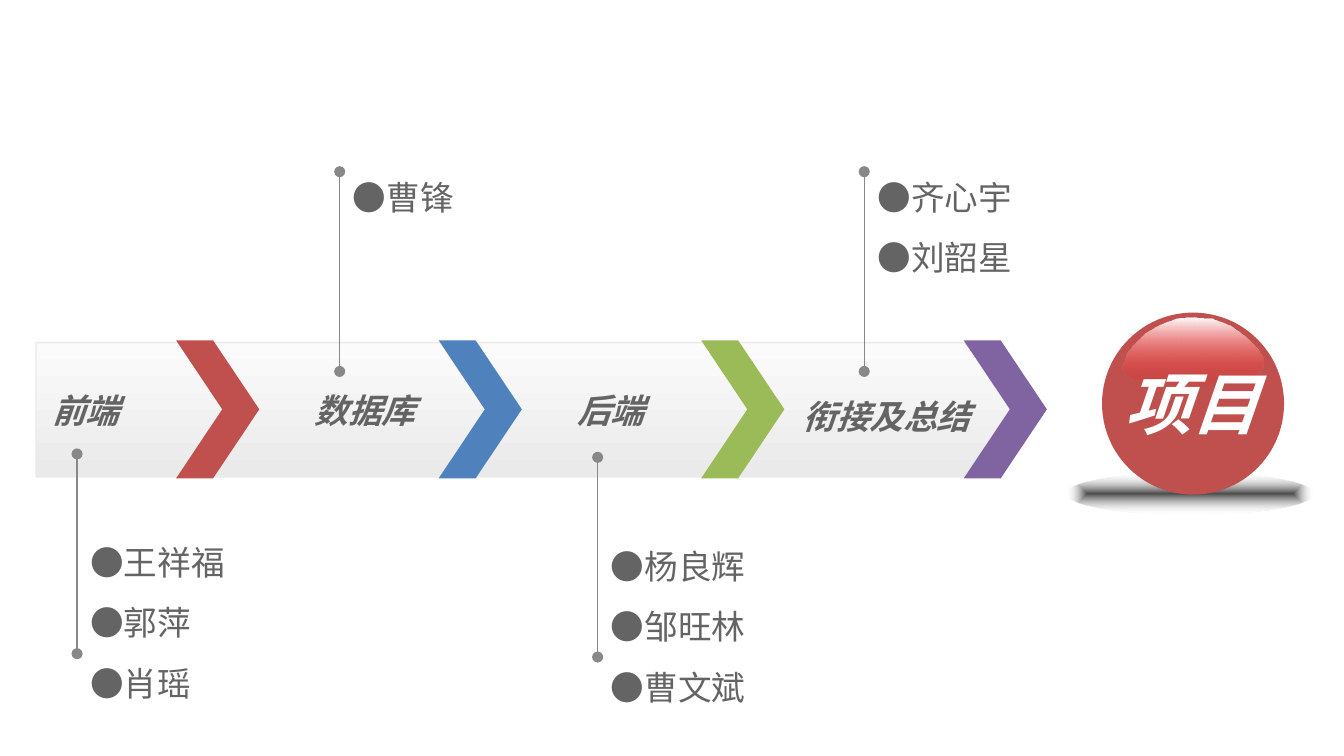
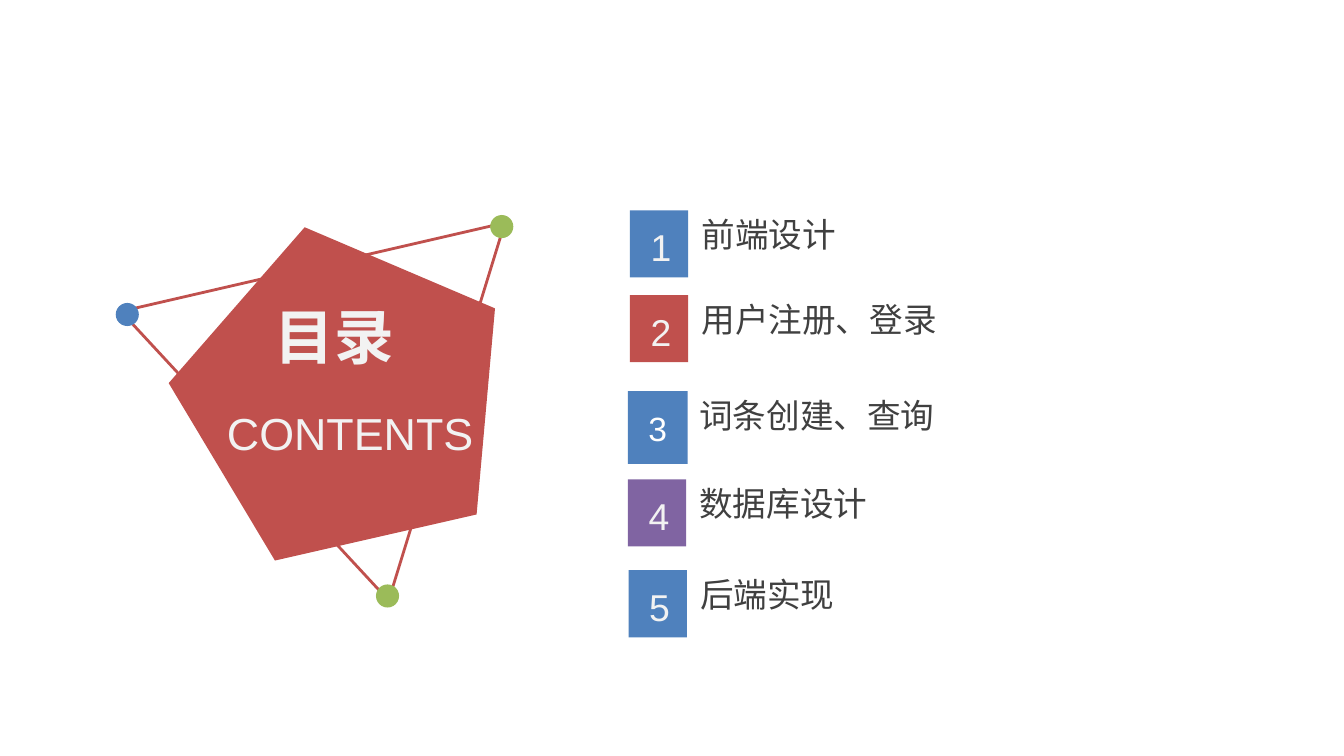
from lxml.etree import SubElement
from pptx import Presentation
from pptx.dml.color import RGBColor
from pptx.enum.shapes import MSO_CONNECTOR, MSO_SHAPE
from pptx.enum.text import MSO_ANCHOR, MSO_AUTO_SIZE, PP_ALIGN
from pptx.oxml import parse_xml
from pptx.oxml.ns import nsdecls, qn
from pptx.util import Pt

FONT = "Arial"
COLORS = {
    "red": "C0504D", "blue": "4F81BD", "green": "9BBB59", "purple": "8064A2",
    "white": "FFFFFF", "pale": "F2F2F2", "band": "EAEAEA", "black": "000000",
    "grey": "646464", "rule": "888888", "ink": "404040", "band_top": "FBFBFB",
    "glow": "FF0000",
}

# Slide 1: stages along the arrow, each with its people
STAGE_X, STAGE_STEP, CHEVRON_X = 20.9, 140.65, 94.3
STAGES = [
    {"name": "前端", "color": "red", "label": (0, 205.2, 51), "rule": (41.3, 243.2),
     "people": ["王祥福", "郭萍", "肖瑶"], "people_box": (275.8, 105), "bold_dot": True},
    {"name": "数据库", "color": "blue", "label": (0, 205.2, 69), "rule": (182, 92),
     "people": ["曹锋"], "people_box": (80.6, 36), "bold_dot": True},
    {"name": "后端", "color": "green", "label": (0, 205.2, 51), "rule": (320.2, 245),
     "people": ["杨良辉", "邹旺林", "曹文斌"], "people_box": (277.9, 105), "bold_dot": False},
    {"name": "衔接及总结", "color": "purple", "label": (-20, 208.3, 105), "rule": (463, 92),
     "people": ["齐心宇", "刘韶星"], "people_box": (80.4, 68.4), "bold_dot": False},
]
RULE_LENGTH = 107
GOAL = "项目"
HIGHLIGHT = [
    (675.4, 190.1), (676.8, 192.2), (676.8, 194.4), (675.4, 198), (672, 200.9),
    (666.7, 203), (660.2, 204.9), (652.3, 205.9), (646.6, 206.6), (628.6, 206.6),
    (621.4, 205.9), (612, 204.5), (605.5, 202.3), (602.6, 200.2), (601.2, 196.6),
    (602.6, 193), (604.1, 188.6), (607, 185), (609.8, 182.2), (613.4, 178.6),
    (620.6, 174.2), (630, 170.6), (639.4, 169.9), (649.4, 170.6), (658.8, 174.2),
    (666.7, 180), (673.2, 186.5),
]

# Slide 2: text, square colour, square left and top
CONTENTS = [
    ("前端设计", "blue", 337.5, 112.7),
    ("用户注册、登录", "red", 337.5, 158.1),
    ("词条创建、查询", "blue", 336.4, 209.6),
    ("数据库设计", "purple", 336.4, 256.8),
    ("后端实现", "blue", 336.8, 305.5),
]
SQUARE_W, SQUARE_H = 31.2, 36
FRAMED = 3  # this item carries its number inside a larger square
TITLES = [("CONTENTS", (110.9, 213.8, 153.4, 36), {"size": Pt(24)}),
          ("目录", (110.9, 157, 136.8, 46), {"size": Pt(32), "bold": True})]
DOTS = [("green", 201.4, 313.1), ("green", 262.6, 115.2), ("blue", 62, 162.3)]
DOT = 12.4


def rgb(name):
    return RGBColor.from_string(COLORS[name])


def gradient(sp, stops, direction):
    """Fill with (position, colour, alpha) stops, percentages throughout."""
    gs = "".join(
        f'<a:gs pos="{pos * 1000}"><a:srgbClr val="{COLORS[color]}">'
        f'<a:alpha val="{alpha * 1000}"/></a:srgbClr></a:gs>'
        for pos, color, alpha in stops)
    sp.fill.background()
    spPr = sp.element.spPr
    spPr.replace(spPr.find(qn("a:noFill")), parse_xml(
        f'<a:gradFill {nsdecls("a")} rotWithShape="1"><a:gsLst>{gs}</a:gsLst>'
        f'{direction}</a:gradFill>'))


DOWN = '<a:lin ang="5400000" scaled="0"/>'
INWARD = ('<a:path path="shape"><a:fillToRect l="50000" t="50000" '
          'r="50000" b="50000"/></a:path>')


def add_shape(s, kind, box, fill=None, line=None, width=0.75, adj=None, rotation=0):
    sp = s.shapes.add_shape(kind, *map(Pt, box))
    sp.shadow.inherit = False
    sp.rotation = rotation
    if adj is not None:
        sp.adjustments[0] = adj
    if fill:
        sp.fill.solid()
        sp.fill.fore_color.rgb = rgb(fill)
    if line:
        sp.line.color.rgb = rgb(line)
        sp.line.width = Pt(width)
    else:
        sp.line.fill.background()
    return sp


def add_run(p, text, color, **fmt):
    r = p.add_run()
    r.text = text
    for key, value in {"name": FONT, "size": Pt(18), **fmt}.items():
        setattr(r.font, key, value)
    r.font.color.rgb = rgb(color)


def add_box(s, box, wrap=True):
    tf = s.shapes.add_textbox(*map(Pt, box)).text_frame
    tf.word_wrap = wrap
    tf.auto_size = MSO_AUTO_SIZE.SHAPE_TO_FIT_TEXT
    return tf


def add_label(s, box, text, color, wrap=True, align=None, **fmt):
    p = add_box(s, box, wrap).paragraphs[0]
    p.alignment = align
    add_run(p, text, color, **fmt)


def add_dotted_rule(s, x, y):
    c = s.shapes.add_connector(MSO_CONNECTOR.STRAIGHT, Pt(x), Pt(y), Pt(x), Pt(y + RULE_LENGTH))
    c.line.color.rgb = rgb("rule")
    c.line.width = Pt(0.75)
    ln = c.get_or_add_ln()
    for end in ("a:headEnd", "a:tailEnd"):
        SubElement(ln, qn(end), type="oval")
    SubElement(c.element.spPr, qn("a:effectLst"))


def add_people(s, stage):
    top, height = stage["people_box"]
    tf = add_box(s, (stage["rule"][0], top, 152, height))
    for i, person in enumerate(stage["people"]):
        p = tf.add_paragraph() if i else tf.paragraphs[0]
        p.line_spacing = 1.5
        if stage["bold_dot"]:
            add_run(p, "●", "grey", bold=True)
            add_run(p, person, "grey", bold=False)
        else:
            add_run(p, "●" + person, "grey")


def add_goal_ball(s):
    ground = add_shape(s, MSO_SHAPE.OVAL, (571.7, 253.4, 131.8, 22.3))
    gradient(ground, [(0, "black", 70), (100, "white", 0)], INWARD)
    add_shape(s, MSO_SHAPE.OVAL, (590.4, 167.5, 97.5, 97.5), "red")
    points = [(Pt(x), Pt(y)) for x, y in HIGHLIGHT]
    fb = s.shapes.build_freeform(*points[0])
    fb.add_line_segments(points[1:], close=True)
    shine = fb.convert_to_shape()
    shine.shadow.inherit = False
    shine.line.fill.background()
    gradient(shine, [(0, "white", 100), (100, "glow", 0)], DOWN)
    add_label(s, (595.4, 190.8, 87, 51), GOAL, "white", wrap=False,
              size=Pt(36), bold=True, italic=True)


def build_team(s):
    add_goal_ball(s)
    band = add_shape(s, MSO_SHAPE.PENTAGON, (19.3, 183.6, 526.3, 72), line="band", adj=0.4)
    gradient(band, [(0, "band_top", 100), (100, "band", 100)], DOWN)
    for i, stage in enumerate(STAGES):
        add_shape(s, MSO_SHAPE.CHEVRON, (CHEVRON_X + i * STAGE_STEP, 182.3, 44.6, 74),
                  stage["color"], adj=0.555)
    for i, stage in enumerate(STAGES):
        shift, top, width = stage["label"]
        add_label(s, (STAGE_X + i * STAGE_STEP + shift, top, width, 29), stage["name"], "grey",
                  wrap=False, bold=True, italic=True)
        add_dotted_rule(s, *stage["rule"])
        add_people(s, stage)


def add_content_item(s, number, text, color, left, top):
    add_label(s, (left + SQUARE_W, top - 1.4, 150, 29), text, "ink")
    if number == FRAMED:
        sp = add_shape(s, MSO_SHAPE.RECTANGLE, (left, top, 32, 39), color)
        tf = sp.text_frame
        tf.vertical_anchor = MSO_ANCHOR.MIDDLE
        tf.paragraphs[0].alignment = PP_ALIGN.CENTER
        add_run(tf.paragraphs[0], str(number), "white")
    else:
        add_shape(s, MSO_SHAPE.RECTANGLE, (left, top, SQUARE_W, SQUARE_H), color)
        add_label(s, (left + 3.3, top + 3.8, 26.6, 31.5), str(number), "pale",
                  wrap=False, align=PP_ALIGN.CENTER, size=Pt(20))


def build_contents(s):
    add_shape(s, MSO_SHAPE.ISOSCELES_TRIANGLE, (46.2, 102.4, 211.7, 182.6), "white",
              line="red", width=1.5, rotation=287.1)
    for color, x, y in DOTS:
        add_shape(s, MSO_SHAPE.OVAL, (x, y, DOT, DOT), color)
    add_shape(s, MSO_SHAPE.REGULAR_PENTAGON, (85.7, 127.5, 179.3, 170.6), "red", rotation=275.1)
    for text, box, fmt in TITLES:
        add_label(s, box, text, "pale", align=PP_ALIGN.CENTER, **fmt)
    for number, item in enumerate(CONTENTS, 1):
        add_content_item(s, number, *item)


def main():
    prs = Presentation()
    prs.slide_width, prs.slide_height = Pt(720), Pt(405)
    for build in (build_team, build_contents):
        build(prs.slides.add_slide(prs.slide_layouts[6]))
    prs.save("out.pptx")


if __name__ == "__main__":
    main()
